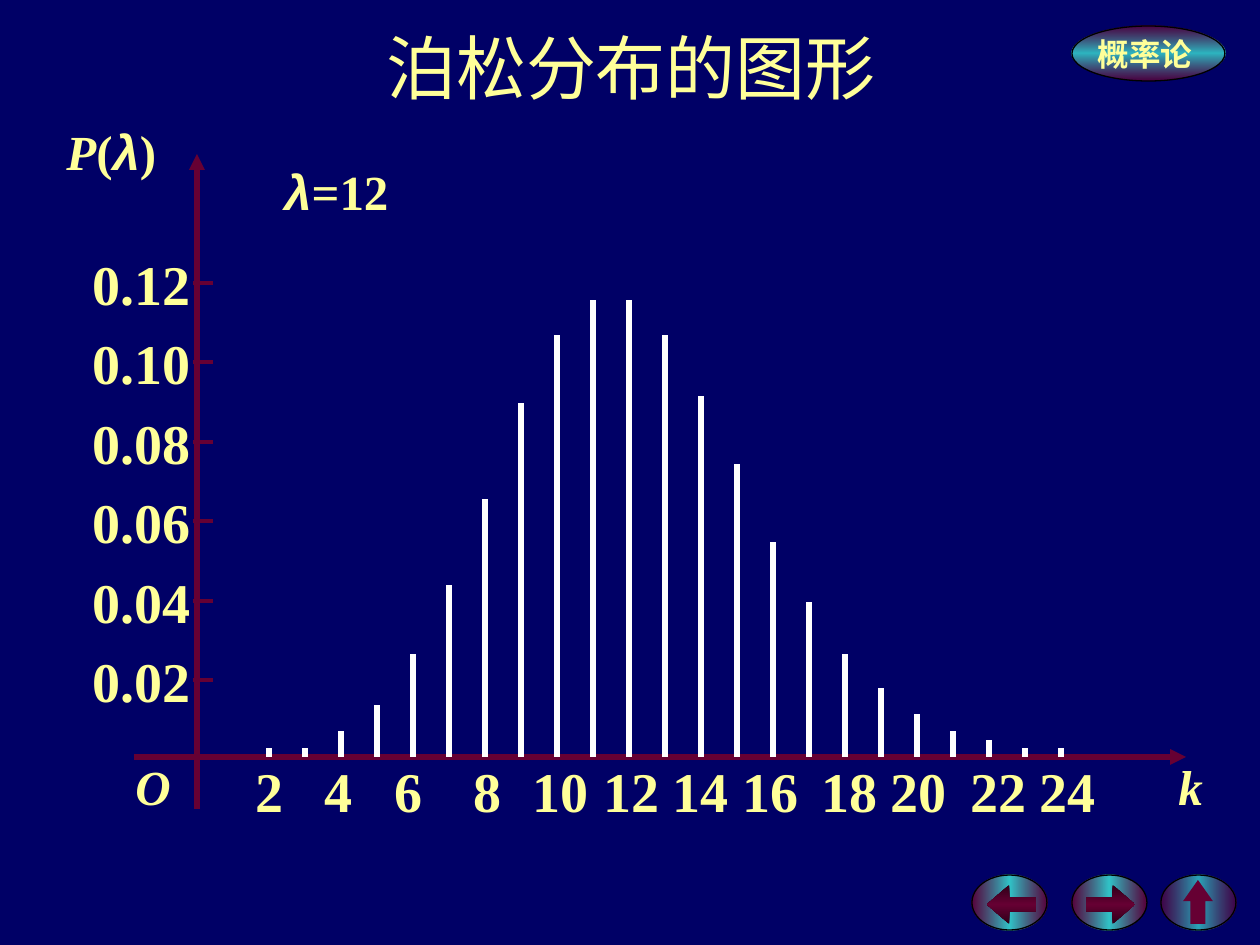
from pptx import Presentation
from pptx import util as u
from pptx.dml.color import RGBColor
from pptx.enum import shapes, text
from pptx.oxml import parse_xml
from pptx.oxml.ns import nsdecls, qn

PIXEL = 914400 // 126
NAVY = RGBColor(0x00, 0x00, 0x66)
MAROON = RGBColor(0x66, 0x00, 0x33)
DARK_MAROON = RGBColor(0x2F, 0x00, 0x18)
TEAL = RGBColor(0x33, 0xCC, 0xCC)
YELLOW = RGBColor(0xFF, 0xFF, 0x99)
WHITE = RGBColor(0xFF, 0xFF, 0xFF)
BLACK = RGBColor(0x00, 0x00, 0x00)
SERIF, SANS, CJK = "Times New Roman", "Arial", "Noto Sans CJK SC"
LEFT, CENTER, RIGHT = text.PP_ALIGN.LEFT, text.PP_ALIGN.CENTER, text.PP_ALIGN.RIGHT

presentation = Presentation()
presentation.slide_width = u.Inches(10)
presentation.slide_height = u.Inches(7.5)
slide = presentation.slides.add_slide(presentation.slide_layouts[6])
slide.background.fill.solid()
slide.background.fill.fore_color.rgb = NAVY


def write_text(shape, runs, size, align, bold=True):
    """Fill a shape with one paragraph of (text, font, italic) runs."""
    paragraph = shape.text_frame.paragraphs[0]
    paragraph.alignment = align
    for wording, font_name, italic in runs:
        run = paragraph.add_run()
        run.text = wording
        run.font.name = font_name
        run.font.size = u.Pt(size)
        run.font.bold = bold
        run.font.italic = italic
        run.font.color.rgb = YELLOW
        east_asian = parse_xml(f'<a:ea {nsdecls("a")} typeface="{CJK}"/>')
        run.font._element.find(qn("a:latin")).addnext(east_asian)


def add_line(start, end, color, width, arrow=False):
    """Draw a straight line between two pixel points."""
    ends = [value * PIXEL for value in (*start, *end)]
    line = slide.shapes.add_connector(shapes.MSO_CONNECTOR.STRAIGHT, *ends)
    line.line.color.rgb = color
    line.line.width = u.Pt(width)
    if arrow:
        line.line._get_or_add_ln().append(
            parse_xml(f'<a:tailEnd {nsdecls("a")} type="triangle"/>'))
    line._element.spPr.append(parse_xml(f'<a:effectLst {nsdecls("a")}/>'))


# Badge and navigation buttons: kind, box, adjustments, edge and middle
# colours with opacity in percent, gradient angle, outlined
KIND = shapes.MSO_SHAPE
BUTTON = ((MAROON, 86), (TEAL, 96), 0, True)
ARROW = ((DARK_MAROON, 100), (MAROON, 100), 90, False)
buttons = [
    (KIND.OVAL, (1072, 26, 153, 55), (), (MAROON, 73), (TEAL, 89), 90, True),
    (KIND.OVAL, (972, 875, 75, 55), (), *BUTTON),
    (KIND.LEFT_ARROW, (987, 885, 49, 39), (0.36, 0.57), *ARROW),
    (KIND.OVAL, (1072, 875, 75, 55), (), *BUTTON),
    (KIND.RIGHT_ARROW, (1086, 885, 49, 39), (0.36, 0.57), *ARROW),
    (KIND.OVAL, (1161, 875, 75, 55), (), (MAROON, 62), (TEAL, 81), 0, True),
    (KIND.UP_ARROW, (1183, 880, 30, 44), (0.5, 0.71), (MAROON, 100), None, 0, False),
]
for kind, box, adjustments, edge, middle, angle, outlined in buttons:
    shape = slide.shapes.add_shape(kind, *(value * PIXEL for value in box))
    shape.shadow.inherit = False
    for index, adjustment in enumerate(adjustments):
        shape.adjustments[index] = adjustment
    if middle:
        stops = "".join(
            f'<a:gs pos="{position}000"><a:srgbClr val="{color}">'
            f'<a:alpha val="{opacity}000"/></a:srgbClr></a:gs>'
            for position, (color, opacity) in ((0, edge), (50, middle), (100, edge)))
        gradient = parse_xml(
            f'<a:gradFill {nsdecls("a")} rotWithShape="1"><a:gsLst>{stops}</a:gsLst>'
            f'<a:lin ang="{angle * 60000}" scaled="0"/></a:gradFill>')
        shape.fill.background()
        properties = shape._element.spPr
        properties.replace(properties.find(qn("a:noFill")), gradient)
    else:
        shape.fill.solid()
        shape.fill.fore_color.rgb = edge[0]
    if outlined:
        shape.line.color.rgb = BLACK
        shape.line.width = u.Pt(0.75)
    else:
        shape.line.fill.background()

badge = slide.shapes[0]
badge.text_frame.word_wrap = False
badge.text_frame.vertical_anchor = text.MSO_ANCHOR.MIDDLE
write_text(badge, [("概率论 ", SERIF, False)], 18, CENTER)

# Axes, probability bars and ticks
AXIS_X, AXIS_Y, BAR_STEP = 197, 757, 36
add_line((134, AXIS_Y), (1186, AXIS_Y), MAROON, 3, arrow=True)
add_line((AXIS_X, 809), (AXIS_X, 154), MAROON, 3, arrow=True)

bar_heights = [9, 9, 26, 52, 103, 172, 258, 354, 422, 457, 457, 422,
               361, 293, 215, 155, 103, 69, 43, 26, 17, 9, 9]
for k, height in enumerate(bar_heights, start=2):
    bar_x = AXIS_X + k * BAR_STEP
    add_line((bar_x, AXIS_Y), (bar_x, AXIS_Y - height), WHITE, 3)

# Labels: box, runs, size, alignment
labels = [
    ((54, 115, 129, 72), [("P", SERIF, True), ("(", SERIF, False),
                          ("λ", SANS, True), (")", SERIF, False)], 28, LEFT),
    ((272, 155, 159, 72), [("λ", SANS, True), ("=12", SERIF, False)], 28, LEFT),
    ((123, 750, 129, 72), [("O", SERIF, True)], 28, LEFT),
    ((1166, 750, 129, 72), [("k", SERIF, True)], 28, LEFT),
]
for index in range(6):
    tick_y = round(680 - index * 79.4)
    add_line((193, tick_y), (213, tick_y), MAROON, 2.25)
    value = f"{0.02 * (index + 1):.2f}"
    labels.append(((54, tick_y - 40, 149, 81), [(value, SERIF, False)], 32, RIGHT))

k_label_lefts = [243, 312, 382, 461, 520, 591, 660, 730, 809, 878, 958, 1027]
for index, left in enumerate(k_label_lefts, start=1):
    labels.append(((left, 750, 89, 81), [(str(2 * index), SERIF, False)], 32, LEFT))

for box, runs, size, align in labels:
    label = slide.shapes.add_textbox(*(value * PIXEL for value in box))
    label.text_frame.word_wrap = True
    write_text(label, runs, size, align)

title = slide.shapes.add_textbox(*(value * PIXEL for value in (64, 18, 1134, 158)))
title.text_frame.word_wrap = True
write_text(title, [("泊松分布的图形", CJK, False)], 40, CENTER, bold=False)

presentation.save("out.pptx")
